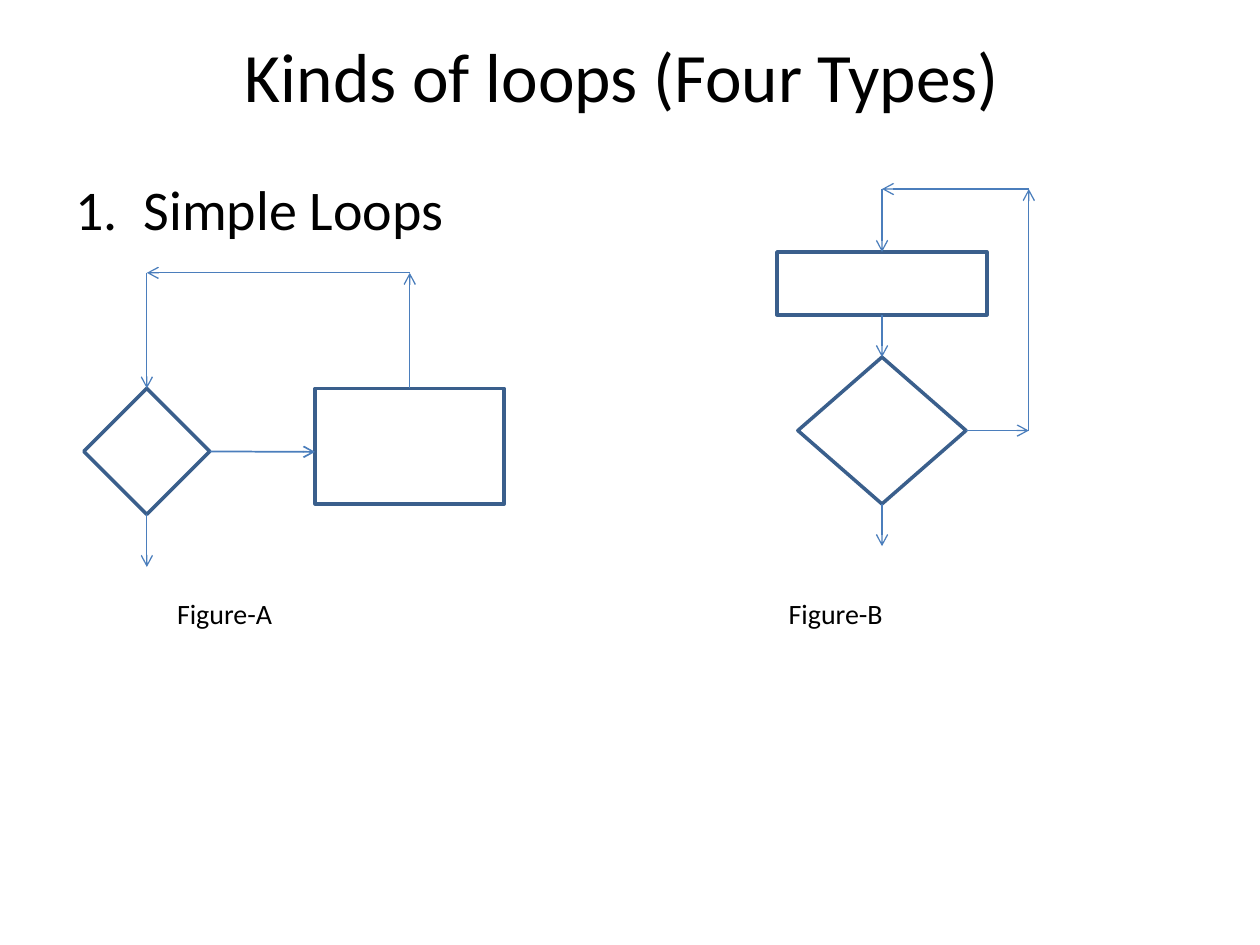
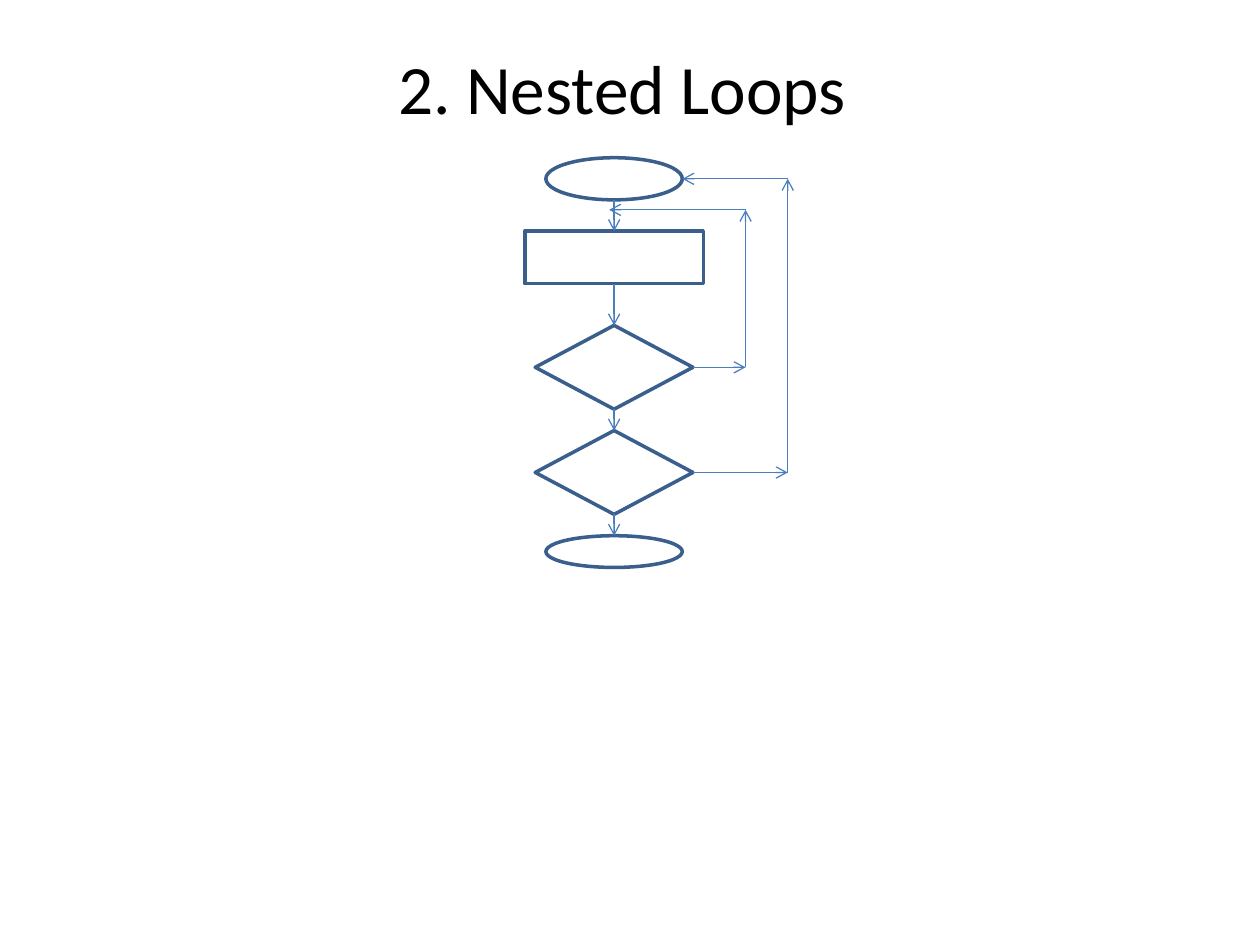
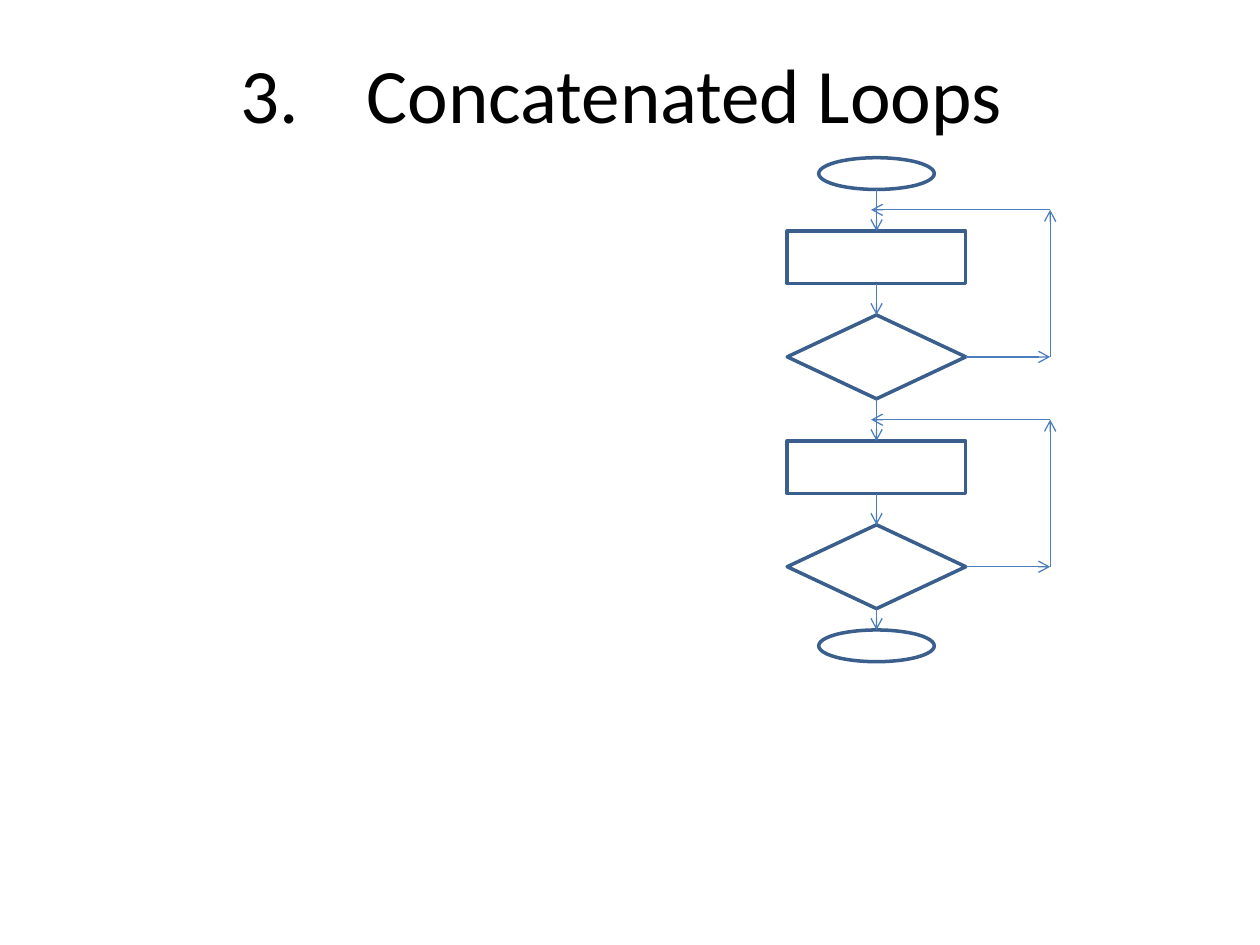
from typing import NamedTuple

from lxml.etree import SubElement
from pptx import Presentation
from pptx.dml.color import RGBColor
from pptx.enum.shapes import MSO_CONNECTOR, MSO_SHAPE
from pptx.enum.text import MSO_ANCHOR, MSO_AUTO_SIZE, PP_ALIGN
from pptx.oxml.ns import qn
from pptx.util import Cm, Pt

COLORS = {"text": "000000", "outline": "3A5F8C", "arrow": "4B7EBC"}
FONT = "Calibri"
TOP, LEFT, BOTTOM, RIGHT = range(4)
SIDE_RATIOS = {TOP: (0.5, 0), LEFT: (0, 0.5), BOTTOM: (0.5, 1), RIGHT: (1, 0.5)}
PROCESS, DECISION, TERMINAL = MSO_SHAPE.RECTANGLE, MSO_SHAPE.DIAMOND, MSO_SHAPE.OVAL


class Port(NamedTuple):
    shape: object
    side: int

    def point(self):
        across, down = SIDE_RATIOS[self.side]
        shape = self.shape
        return ((shape.left + shape.width * across) / Cm(1),
                (shape.top + shape.height * down) / Cm(1))

    def can_join(self):
        return self.shape.auto_shape_type != TERMINAL


class LoopDeck:
    def __init__(self):
        self.deck = Presentation()
        self.deck.slide_width = Cm(25.4)
        self.deck.slide_height = Cm(19.05)
        self.page = None

    def add_page(self, layout):
        self.page = self.deck.slides.add_slide(self.deck.slide_layouts[layout])

    def place(self, box, top, height):
        box.left, box.top, box.width, box.height = Cm(1.27), Cm(top), Cm(22.86), Cm(height)
        box.text_frame.word_wrap = True
        box.text_frame.auto_size = MSO_AUTO_SIZE.NONE

    def add_span(self, para, text, size):
        span = para.add_run()
        span.text = text
        span.font.name = FONT
        span.font.size = Pt(size)
        span.font.color.rgb = RGBColor.from_string(COLORS["text"])

    def title(self, text, height, size=39.6, bottom_inset=0.13):
        box = self.page.shapes.title
        self.place(box, 0.76, height)
        box.text_frame.vertical_anchor = MSO_ANCHOR.MIDDLE
        box.text_frame.margin_bottom = Cm(bottom_inset)
        para = box.text_frame.paragraphs[0]
        para.alignment = PP_ALIGN.CENTER
        para._p.get_or_add_pPr().set("defTabSz", str(Cm(2.54)))
        self.add_span(para, text, size)

    def body(self, text, hanging=1.37):
        box = self.page.placeholders[1]
        self.place(box, 3.39, 14.81)
        para = box.text_frame.paragraphs[0]
        para.space_before = Pt(0)
        properties = para._p.get_or_add_pPr()
        properties.set("marL", str(Cm(hanging)))
        properties.set("indent", str(-Cm(hanging)))
        SubElement(properties, qn("a:buNone"))
        self.add_span(para, text, 32)

    def caption(self, text, left):
        box = self.page.shapes.add_textbox(Cm(left), Cm(11.91), Cm(3), Cm(0.94))
        box.text_frame.word_wrap = True
        self.add_span(box.text_frame.paragraphs[0], text, 16)

    def node(self, kind, center, top, width, height):
        shape = self.page.shapes.add_shape(
            kind, Cm(center - width / 2), Cm(top), Cm(width), Cm(height))
        shape.shadow.inherit = False
        shape.fill.background()
        shape.line.color.rgb = RGBColor.from_string(COLORS["outline"])
        shape.line.width = Pt(2)
        return shape

    def arrow(self, start, end, weight=0.75):
        points = [stop.point() if isinstance(stop, Port) else stop for stop in (start, end)]
        line = self.page.shapes.add_connector(
            MSO_CONNECTOR.STRAIGHT, *(Cm(value) for point in points for value in point))
        for stop, connect in ((start, line.begin_connect), (end, line.end_connect)):
            if isinstance(stop, Port) and stop.can_join():
                connect(stop.shape, stop.side)
        line.line.color.rgb = RGBColor.from_string(COLORS["arrow"])
        line.line.width = Pt(weight)
        SubElement(line.line._get_or_add_ln(), qn("a:tailEnd"), type="arrow")
        SubElement(line._element.spPr, qn("a:effectLst"))

    def route(self, *stops):
        for start, end in zip(stops, stops[1:]):
            self.arrow(start, end)

    def chain(self, *nodes):
        for upper, lower in zip(nodes, nodes[1:]):
            self.arrow(Port(upper, BOTTOM), Port(lower, TOP))

    def loop_back(self, decision, lane, height, *ends):
        start = Port(decision, RIGHT)
        self.route(start, (lane, start.point()[1]), (lane, height), *ends)


def simple_loops(deck):
    deck.add_page(1)
    deck.title("Kinds of loops (Four Types) ", 3.18, bottom_inset=1.8)
    deck.body("1.\tSimple Loops")
    deck.caption("Figure-A", 3.32)
    deck.caption("Figure-B", 15.65)

    center, work_center, return_height = 2.96, 8.26, 5.5
    decision = deck.node(DECISION, center, 7.83, 2.54, 2.54)
    work = deck.node(PROCESS, work_center, 7.83, 3.81, 2.33)
    deck.arrow(Port(decision, RIGHT), (6.35, 9.11), weight=1)
    deck.route(Port(work, TOP), (work_center, return_height),
               (center, return_height), Port(decision, TOP))
    deck.arrow(Port(decision, BOTTOM), (center, 11.43))

    center, return_height = 17.78, 3.81
    work = deck.node(PROCESS, center, 5.08, 4.23, 1.27)
    decision = deck.node(DECISION, center, 7.2, 3.39, 2.96)
    deck.chain(work, decision)
    deck.arrow(Port(decision, BOTTOM), (center, 11.01))
    deck.loop_back(decision, 20.74, return_height, (center, return_height), Port(work, TOP))


def nested_loops(deck):
    deck.add_page(5)
    deck.title("2. Nested Loops ", 1.98)
    center = 12.38
    start = deck.node(TERMINAL, center, 3.18, 2.75, 0.85)
    work = deck.node(PROCESS, center, 4.66, 3.6, 1.06)
    inner, outer = (deck.node(DECISION, center, top, 3.18, 1.69) for top in (6.56, 8.68))
    finish = deck.node(TERMINAL, center, 10.8, 2.75, 0.64)
    deck.chain(start, work, inner, outer, finish)
    entry = Port(start, RIGHT)
    deck.loop_back(outer, 15.88, entry.point()[1], entry)
    deck.loop_back(inner, 15.03, 4.23, (12.28, 4.23))


def concatenated_loops(deck):
    deck.add_page(5)
    deck.title("3.\tConcatenated Loops ", 2.21, size=44)
    center = 17.67
    nodes = [deck.node(TERMINAL, center, 3.18, 2.33, 0.64)]
    for offset in (0, 4.23):
        work = deck.node(PROCESS, center, 4.66 + offset, 3.6, 1.06)
        decision = deck.node(DECISION, center, 6.35 + offset, 3.6, 1.69)
        deck.loop_back(decision, 21.17, 4.23 + offset, (17.56, 4.23 + offset))
        nodes += [work, decision]
    nodes.append(deck.node(TERMINAL, center, 12.7, 2.33, 0.64))
    deck.chain(*nodes)


def main():
    deck = LoopDeck()
    simple_loops(deck)
    nested_loops(deck)
    concatenated_loops(deck)
    deck.deck.save("out.pptx")


if __name__ == "__main__":
    main()
